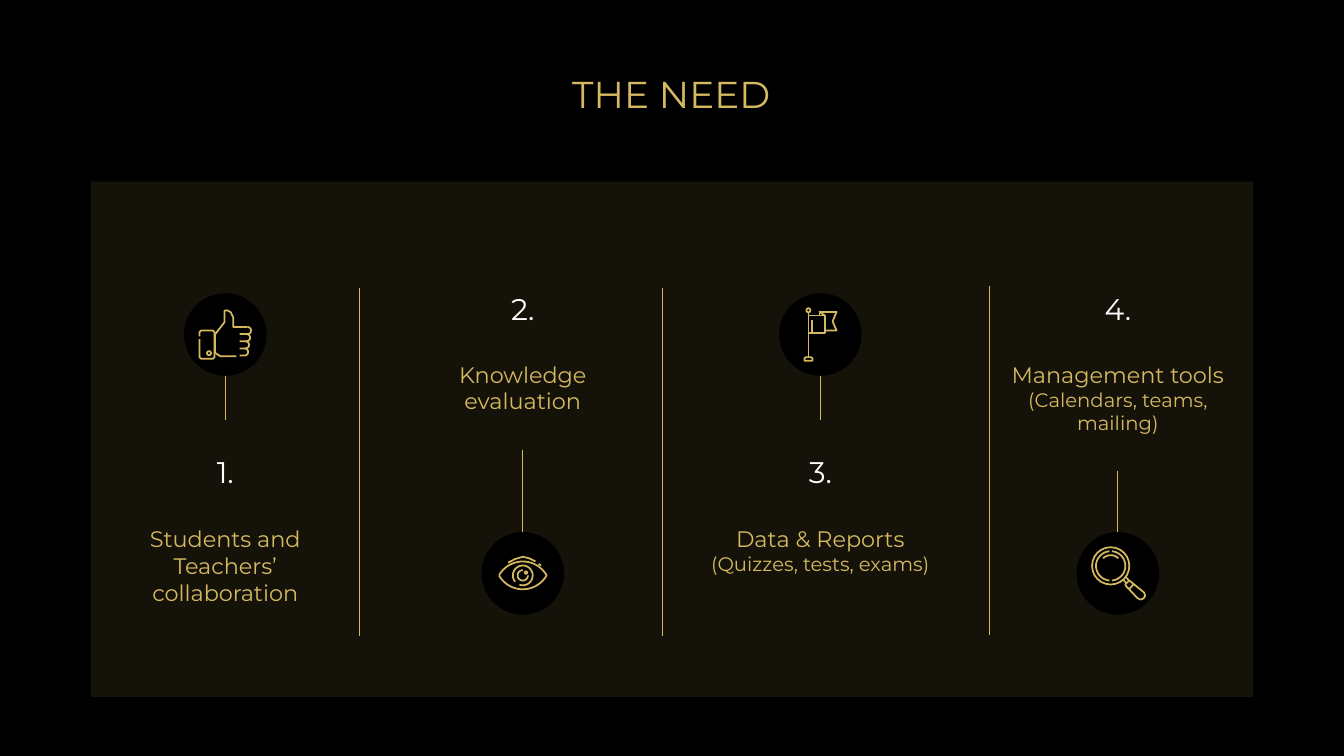
from math import cos, radians, sin

from lxml import etree
from pptx import Presentation
from pptx.dml.color import RGBColor
from pptx.enum.shapes import MSO_CONNECTOR, MSO_SHAPE
from pptx.enum.text import MSO_ANCHOR, PP_ALIGN
from pptx.oxml.ns import qn
from pptx.util import Cm, Pt

COLORS = {"black": "000000", "gold": "D5B961", "white": "FFFFFF"}
FRAME = {
    "word_wrap": True,
    "margin_left": Cm(0.33),
    "margin_right": Cm(0.33),
    "margin_top": Cm(0.33),
    "margin_bottom": Cm(0.33),
}

# Columns: first centre, pitch and text width in cm
FIRST_CENTER, PITCH, TEXT_WIDTH = 5.68, 7.5, 6.78
DISC = 2.08

# Need: wording with sizes
NEEDS = [
    [("Students and Teachers’ collaboration", 16)],
    [("Knowledge evaluation", 16)],
    [("Data & Reports", 16), ("(Quizzes, tests, exams)", 14)],
    [("Management tools", 16), ("(Calendars, teams, mailing)", 14)],
]
# Icon above the text (even columns) or below it (odd columns)
LAYOUTS = [
    {"disc": 7.39, "number": 10.59, "label": 12.9, "label_height": 3.2},
    {"disc": 13.41, "number": 6.48, "label": 8.76, "label_height": 2.57},
]
STEMS = [(9.47, 10.59), (11.33, 13.41), (9.47, 10.59), (11.86, 13.41)]
DIVIDERS = [(9.07, 7.26, 16.03), (16.71, 7.26, 16.03), (24.94, 7.21, 16)]


def rgb(name):
    return RGBColor.from_string(COLORS[name])


def arc(x, y, radius, start=0, end=360):
    """Points on an arc, clockwise, angles in degrees."""
    angles = [radians(start + (end - start) * n / 24) for n in range(25)]
    return [(x + radius * cos(a), y + radius * sin(a)) for a in angles]


# Icons: strokes in cm around the centre of the disc
def thumb_icon():
    cuff = [(-0.65, 0.05), (-0.65, -0.06), (-0.61, -0.1), (-0.31, -0.1),
            (-0.27, -0.06), (-0.27, 0.57), (-0.31, 0.61), (-0.61, 0.61),
            (-0.65, 0.57), (-0.65, 0.12)]
    hand = [(0.28, 0.55), (-0.12, 0.55), (-0.26, 0.46), (-0.26, 0),
            (-0.02, -0.31), (-0.02, -0.6), (0.05, -0.61), (0.14, -0.56),
            (0.2, -0.43), (0.2, -0.19), (0.56, -0.19)]
    fingers = []
    for n in range(4):
        y = -0.1 + 0.18 * n
        fingers.append(arc(0.56 - 0.025 * n, y, 0.09, -90, 90) + [(0.36, y + 0.09)])
    return [cuff, hand, arc(-0.41, 0.47, 0.05), *fingers]


def eye_icon():
    brow = [(-0.37, -0.27), (-0.2, -0.36), (0, -0.42), (0.16, -0.38), (0.32, -0.3)]
    lids = arc(0, 0.39, 0.69, 210, 330) + arc(0, -0.29, 0.69, 30, 150)
    return [lids, brow, [(0.4, -0.24), (0.46, -0.2)],
            arc(0, 0.05, 0.25, 140, 470), arc(0, 0.05, 0.13, 0, 270),
            arc(0.08, -0.02, 0.03)]


def flag_icon():
    base = [(-0.4, 0.66), (-0.4, 0.6), (-0.37, 0.57), (-0.24, 0.57),
            (-0.2, 0.6), (-0.2, 0.66), (-0.4, 0.66)]
    banner = [(-0.3, -0.48), (0.11, -0.48), (0.11, -0.03), (-0.3, -0.03)]
    tail = [(0.11, -0.48), (-0.02, -0.57), (0.41, -0.57), (0.31, -0.33),
            (0.41, -0.1), (0.11, -0.1)]
    return [arc(-0.3, -0.61, 0.05), [(-0.3, -0.56), (-0.3, 0.57)], base, banner,
            tail, [(-0.02, -0.57), (-0.02, -0.48)], [(-0.21, -0.37), (-0.21, -0.03)]]


def magnifier_icon():
    x, y = -0.18, -0.19
    handle = [(0.29, 0.18), (0.66, 0.48), (0.69, 0.56), (0.65, 0.63), (0.57, 0.66),
              (0.49, 0.62), (0.19, 0.3), (0.2, 0.26), (0.29, 0.18)]
    return [arc(x, y, 0.47), arc(x, y, 0.37, 95, 265), arc(x, y, 0.37, -85, 85),
            arc(x, y, 0.27, 225, 315), [(0.14, 0.17), (0.22, 0.25)],
            [(0.21, 0.1), (0.28, 0.18)], [(0.4, 0.27), (0.3, 0.38)], handle]


ICONS = [thumb_icon, eye_icon, flag_icon, magnifier_icon]


def add_area(slide, kind, left, top, width, height, color, opacity=100):
    area = slide.shapes.add_shape(kind, Cm(left), Cm(top), Cm(width), Cm(height))
    area.shadow.inherit = False
    area.fill.solid()
    area.fill.fore_color.rgb = rgb(color)
    area.line.fill.background()
    if opacity < 100:
        tint = area.fill._xPr.find(qn("a:solidFill"))[0]
        etree.SubElement(tint, qn("a:alpha"), val=str(opacity * 1000))


def add_text(slide, left, top, width, height, lines, color, anchor):
    box = slide.shapes.add_textbox(Cm(left), Cm(top), Cm(width), Cm(height))
    frame = box.text_frame
    for attribute, value in FRAME.items():
        setattr(frame, attribute, value)
    frame.vertical_anchor = anchor
    for n, (wording, size) in enumerate(lines):
        paragraph = frame.add_paragraph() if n else frame.paragraphs[0]
        paragraph.alignment = PP_ALIGN.CENTER
        run = paragraph.add_run()
        run.text = wording
        for attribute, value in {"name": "Montserrat", "size": Pt(size)}.items():
            setattr(run.font, attribute, value)
        run.font.color.rgb = rgb(color)


def add_rule(slide, x, top, bottom):
    rule = slide.shapes.add_connector(
        MSO_CONNECTOR.STRAIGHT, Cm(x), Cm(top), Cm(x), Cm(bottom))
    rule.line.color.rgb = rgb("gold")
    rule.line.width = Pt(0.75)
    etree.SubElement(rule._element.spPr, qn("a:effectLst"))


def add_icon(slide, strokes, center_x, center_y):
    for stroke in strokes:
        points = [(Cm(center_x + x), Cm(center_y + y)) for x, y in stroke]
        builder = slide.shapes.build_freeform(*points[0])
        builder.add_line_segments(points[1:], close=False)
        outline = builder.convert_to_shape()
        outline.shadow.inherit = False
        outline.fill.background()
        outline.line.color.rgb = rgb("gold")
        outline.line.width = Pt(1.25)


def add_need(slide, index):
    layout = LAYOUTS[index % 2]
    center = FIRST_CENTER + PITCH * index
    left = center - TEXT_WIDTH / 2
    add_text(slide, left, layout["number"], TEXT_WIDTH, 2.08,
             [(f"{index + 1}.", 21.3)], "white", MSO_ANCHOR.BOTTOM)
    add_text(slide, left, layout["label"], TEXT_WIDTH, layout["label_height"],
             NEEDS[index], "gold", MSO_ANCHOR.TOP)
    add_area(slide, MSO_SHAPE.OVAL, center - DISC / 2, layout["disc"],
             DISC, DISC, "black")
    add_rule(slide, center, *STEMS[index])
    add_icon(slide, ICONS[index](), center, layout["disc"] + DISC / 2)


def main():
    deck = Presentation()
    deck.slide_width, deck.slide_height = Cm(33.88), Cm(19.05)
    slide = deck.slides.add_slide(deck.slide_layouts[6])
    slide.background.fill.solid()
    slide.background.fill.fore_color.rgb = rgb("black")

    # Panel and title
    add_area(slide, MSO_SHAPE.RECTANGLE, 2.29, 4.58, 29.31, 12.98, "gold", 10)
    add_text(slide, 11.73, 1.37, 10.39, 1.88, [("THE NEED", 26.7)],
             "gold", MSO_ANCHOR.BOTTOM)

    # Four needs and the rules between them
    for index in range(len(NEEDS)):
        add_need(slide, index)
    for divider in DIVIDERS:
        add_rule(slide, *divider)

    deck.save("out.pptx")


if __name__ == "__main__":
    main()
